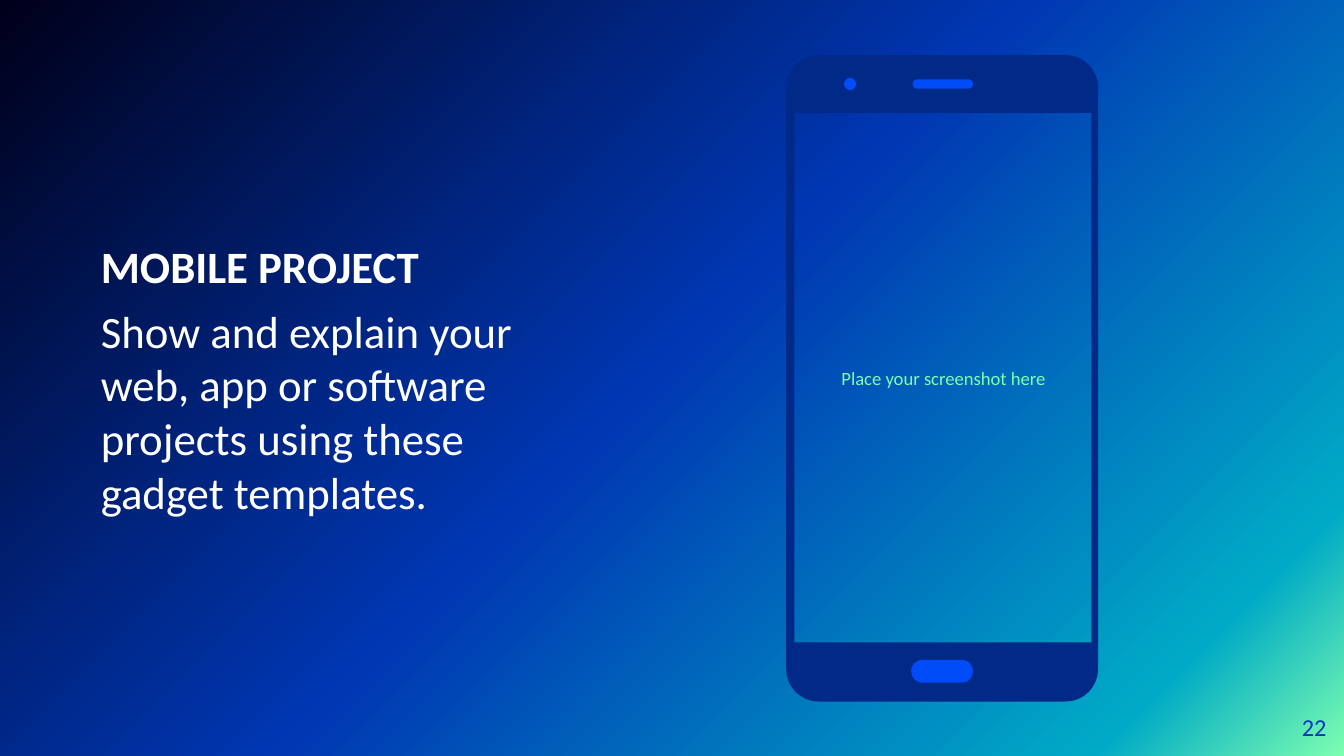
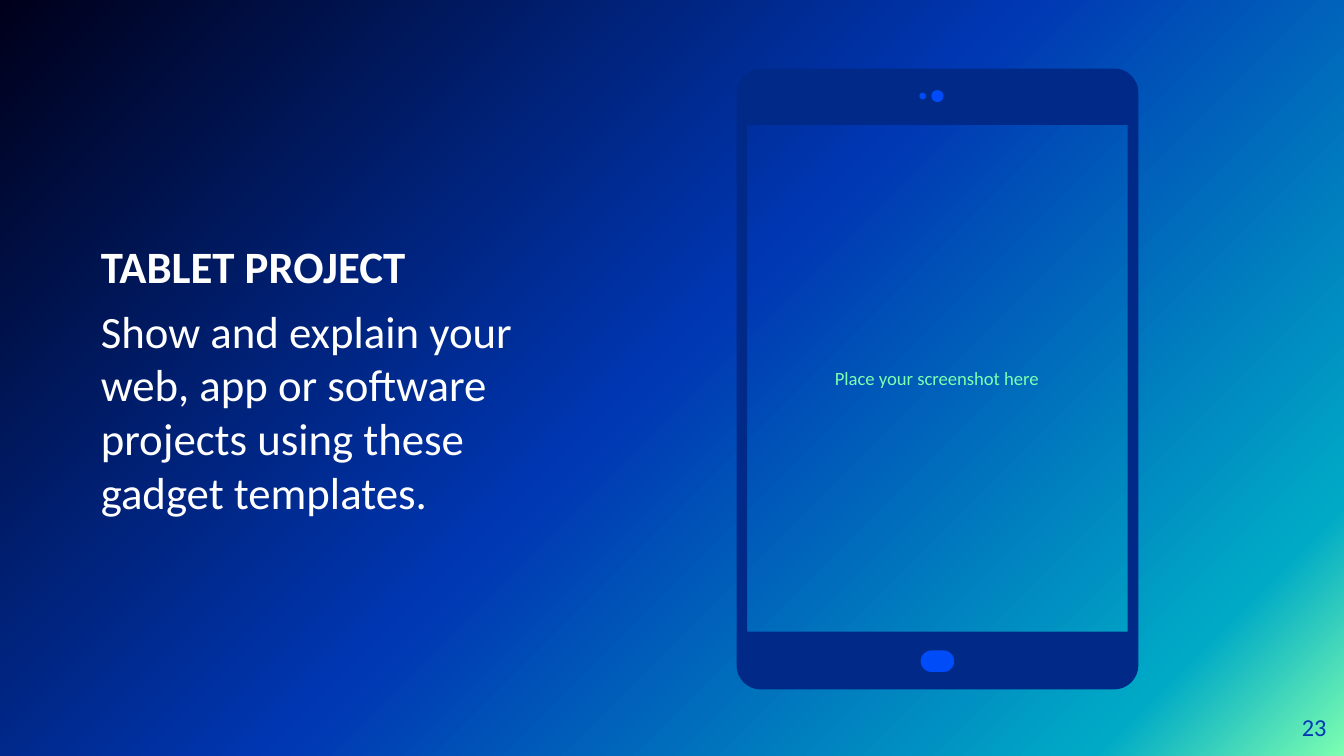
import math
from dataclasses import dataclass

import pptx
import pptx.util
from lxml import etree
from pptx.dml.color import RGBColor
from pptx.enum.shapes import MSO_SHAPE
from pptx.enum.text import MSO_ANCHOR, MSO_AUTO_SIZE, PP_ALIGN
from pptx.oxml.ns import qn
from pptx.util import Inches, Pt


@dataclass(frozen=True)
class Theme:
    font: str = "Calibri"
    text: str = "FFFFFF"
    hint: str = "7DFFB1"
    number: str = "0037B3"
    case: str = "002988"
    control: str = "004CF8"
    gradient: tuple = ((0, "7DFFB1"), (12, "00AAC6"), (51, "0037B3"), (100, "00001A"))
    gradient_angle: int = 225
    body_size: int = 24
    hint_size: int = 10
    number_size: int = 13


THEME = Theme()
SLIDE_WIDTH = 10
SLIDE_HEIGHT = SLIDE_WIDTH * 9 / 16
BODY_BOX = (0.75, 0.41, 3.17, 4.81)
NUMBER_BOX = (9.27, 5.19, 0.6, 0.43)
DESCRIPTION = "Show and explain your web, app or software projects using these gadget templates."
HINT = "Place your screenshot here"

# Boxes are left, top, width, height in inches.
PROJECTS = [
    {
        "heading": "MOBILE PROJECT",
        "number": "22",
        "hint": (5.92, 0.86, 2.2, 3.91),
        "case": (5.85, 0.41, 2.32, 4.81),
        "corner": 0.24,
        "screen": (5.91, 0.84, 2.21, 3.94),
        "pills": [(6.78, 4.91, 0.46, 0.17), (6.79, 0.59, 0.45, 0.07)],
        "dots": [(6.28, 0.58, 0.09, 0.09)],
    },
    {
        "heading": "TABLET PROJECT",
        "number": "23",
        "hint": (5.55, 0.93, 2.84, 3.76),
        "case": (5.48, 0.51, 2.99, 4.62),
        "corner": 0.18,
        "screen": (5.56, 0.93, 2.83, 3.77),
        "pills": [(6.85, 4.84, 0.25, 0.16)],
        "dots": [(6.84, 0.69, 0.05, 0.05), (6.93, 0.67, 0.09, 0.09)],
    },
]


def set_background(master):
    fill = master.background.fill
    fill.gradient()
    gradient = master.element.find(".//" + qn("a:gradFill"))
    stops = gradient.find(qn("a:gsLst"))
    for stop in list(stops):
        stops.remove(stop)
    for position, color in THEME.gradient:
        stop = etree.SubElement(stops, qn("a:gs"), pos=str(position * 1000))
        etree.SubElement(stop, qn("a:srgbClr"), val=color)
    gradient.find(qn("a:lin")).set("ang", str(THEME.gradient_angle * 60000))


def set_frame(shape, margin=0):
    frame = shape.text_frame
    frame.word_wrap = True
    frame.auto_size = MSO_AUTO_SIZE.NONE
    frame.vertical_anchor = MSO_ANCHOR.MIDDLE
    frame.margin_left = frame.margin_right = Inches(margin)
    frame.margin_top = frame.margin_bottom = Inches(margin)
    return frame


def format_paragraph(paragraph, size, color, align, bold=False):
    paragraph.alignment = align
    for run in paragraph.runs:
        run.font.name = THEME.font
        run.font.size = Pt(size)
        run.font.bold = bold
        run.font.color.rgb = RGBColor.from_string(color)


def add_label(slide, text, box, size, color, align, margin=0):
    shape = slide.shapes.add_textbox(*map(Inches, box))
    frame = set_frame(shape, margin)
    frame.text = text
    format_paragraph(frame.paragraphs[0], size, color, align)


def fill_body(slide, heading):
    body = slide.placeholders[1]
    body.left, body.top, body.width, body.height = map(Inches, BODY_BOX)
    frame = set_frame(body)
    frame.text = f"{heading}\n{DESCRIPTION}"
    for index, paragraph in enumerate(frame.paragraphs):
        format_paragraph(paragraph, THEME.body_size, THEME.text, PP_ALIGN.LEFT, bold=index == 0)
        paragraph.space_before = Pt(6)
        properties = paragraph._p.get_or_add_pPr()
        properties.set("marL", "0")
        properties.set("indent", "0")
        etree.SubElement(properties, qn("a:buNone"))


def paint(shape, color):
    shape.fill.solid()
    shape.fill.fore_color.rgb = RGBColor.from_string(color)
    shape.line.fill.background()
    shape.shadow.inherit = False


def rounded_outline(box, radius, steps=8):
    """Return the points of a rounded rectangle, clockwise from its top right corner."""
    left, top, width, height = box
    near_x, far_x = left + radius, left + width - radius
    near_y, far_y = top + radius, top + height - radius
    centers = [(far_x, near_y), (far_x, far_y), (near_x, far_y), (near_x, near_y)]
    points = []
    for quarter, (x, y) in enumerate(centers):
        for step in range(steps + 1):
            angle = math.pi / 2 * (quarter - 1 + step / steps)
            points.append((x + radius * math.cos(angle), y + radius * math.sin(angle)))
    return points


def add_case(shapes, box, corner, screen):
    """Draw the device case with its screen cut out."""
    left, top, width, height = screen
    right, bottom = left + width, top + height
    hole = [(left, top), (left, bottom), (right, bottom), (right, top)]
    outline, hole = [
        [(Inches(x), Inches(y)) for x, y in points]
        for points in (rounded_outline(box, corner), hole)
    ]
    builder = shapes.build_freeform(*outline[0])
    builder.add_line_segments(outline[1:], close=True)
    builder.move_to(*hole[0])
    builder.add_line_segments(hole[1:], close=True)
    paint(builder.convert_to_shape(), THEME.case)


def add_device(slide, project):
    shapes = slide.shapes.add_group_shape().shapes
    add_case(shapes, project["case"], project["corner"], project["screen"])
    for box in project["pills"]:
        pill = shapes.add_shape(MSO_SHAPE.ROUNDED_RECTANGLE, *map(Inches, box))
        pill.adjustments[0] = 0.5
        paint(pill, THEME.control)
    for box in project["dots"]:
        paint(shapes.add_shape(MSO_SHAPE.OVAL, *map(Inches, box)), THEME.control)


def add_project_slide(presentation, project):
    slide = presentation.slides.add_slide(presentation.slide_layouts[1])
    title = slide.shapes.title.element
    title.getparent().remove(title)
    fill_body(slide, project["heading"])
    add_label(slide, HINT, project["hint"], THEME.hint_size, THEME.hint,
              PP_ALIGN.CENTER, margin=0.1)
    add_label(slide, project["number"], NUMBER_BOX, THEME.number_size, THEME.number,
              PP_ALIGN.RIGHT)
    add_device(slide, project)


def main():
    presentation = pptx.Presentation()
    presentation.slide_width = Inches(SLIDE_WIDTH)
    presentation.slide_height = Inches(SLIDE_HEIGHT)
    set_background(presentation.slide_master)
    for project in PROJECTS:
        add_project_slide(presentation, project)
    presentation.save("out.pptx")


if __name__ == "__main__":
    main()
